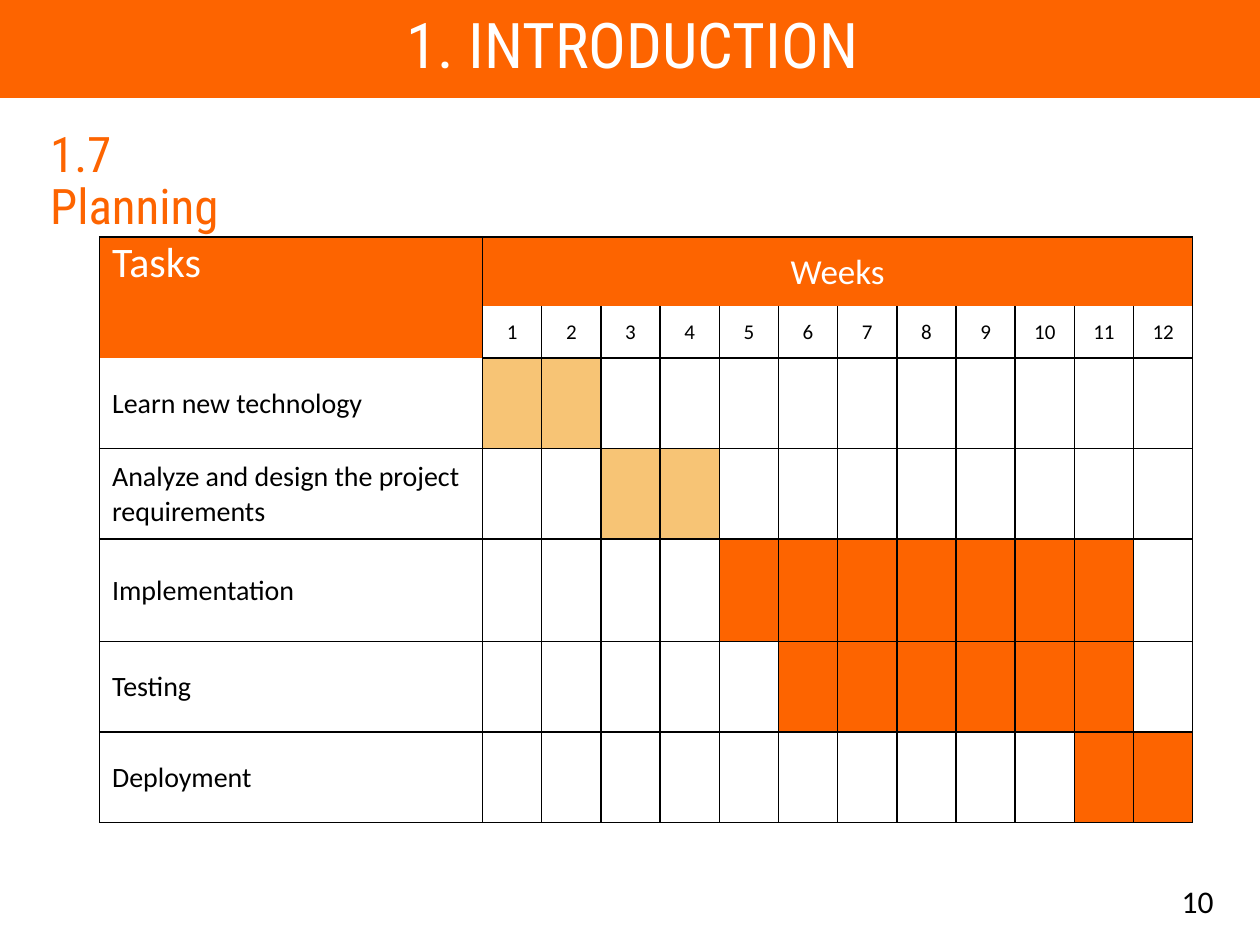
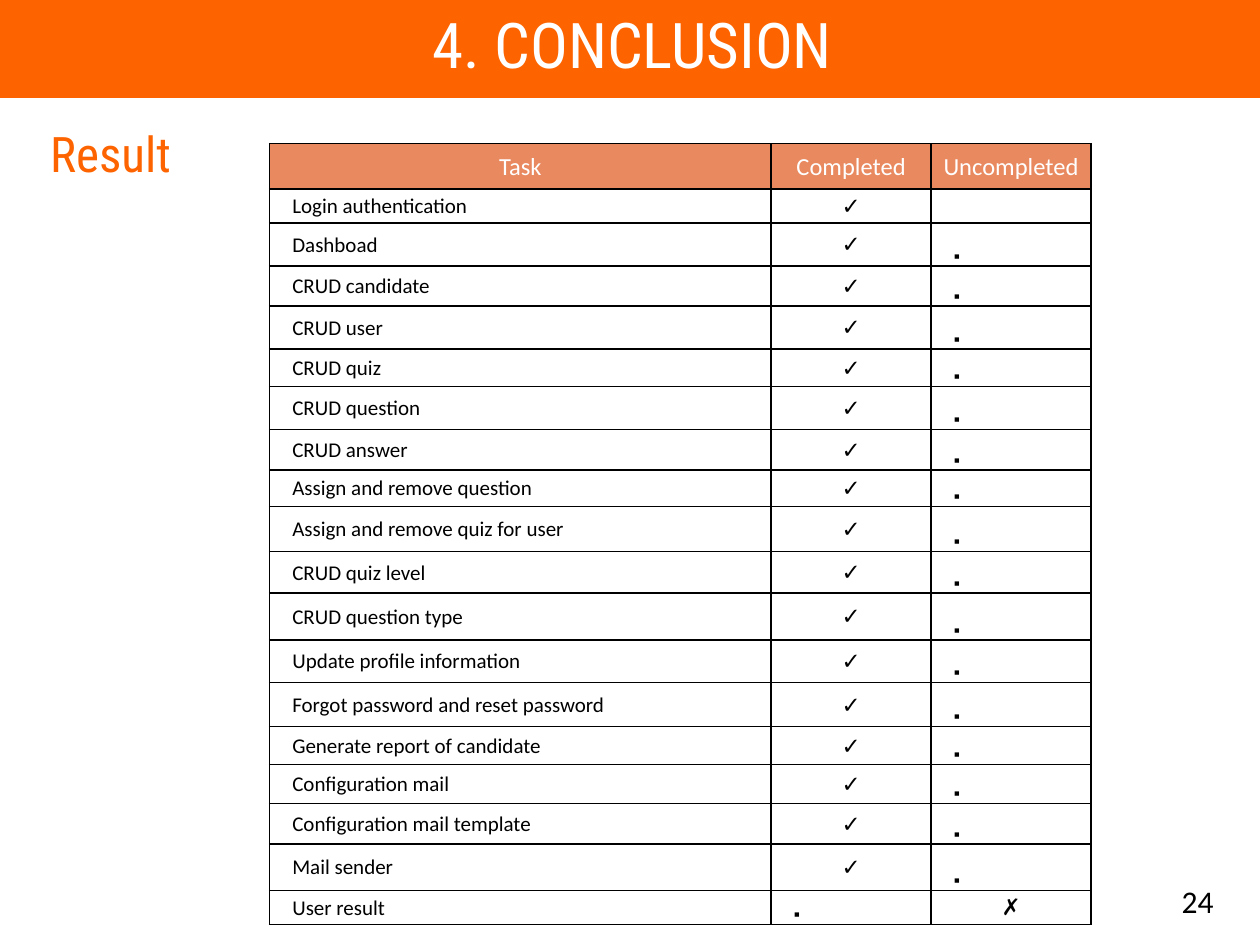
from dataclasses import dataclass
from typing import NamedTuple

from lxml import etree
from pptx import Presentation
from pptx.dml.color import RGBColor
from pptx.enum.shapes import MSO_SHAPE
from pptx.enum.text import MSO_ANCHOR as Anchor, PP_ALIGN as Align
from pptx.oxml.ns import qn
from pptx.util import Inches, Pt

ORANGE = RGBColor(0xFD, 0x64, 0x00)
SAND = RGBColor(0xF7, 0xC4, 0x75)
SALMON = RGBColor(0xE9, 0x89, 0x60)
BLACK = RGBColor(0, 0, 0)
WHITE = RGBColor(0xFF, 0xFF, 0xFF)
HEADING_FONT = "Roboto Condensed"
BODY_FONT = "Calibri"
MARK_FONT = "Arial"
PLAIN_TABLE_STYLE = "{2D5ABB26-0587-4C30-8999-92F81FD0307C}"


class Box(NamedTuple):
    left: float
    top: float
    width: float
    height: float

    def lengths(self) -> list:
        return [Inches(value) for value in self]


@dataclass(frozen=True)
class TextStyle:
    size: float
    color: RGBColor = BLACK
    font: str = BODY_FONT
    align: Align = Align.LEFT
    anchor: Anchor = Anchor.MIDDLE
    indent: float = 0.01  # left margin inside a table cell
    heading: bool = False


@dataclass(frozen=True)
class Task:
    name: str
    height: float
    first_week: int
    last_week: int
    color: RGBColor = ORANGE


class Result(NamedTuple):
    task: str
    height: float
    completed: str = "✓"
    uncompleted: str = "▪"


# Text styles
TITLE = TextStyle(36, WHITE, HEADING_FONT, Align.CENTER, heading=True)
SUBTITLE = TextStyle(28, ORANGE, HEADING_FONT, anchor=Anchor.TOP, heading=True)
PAGE_NUMBER = TextStyle(18, align=Align.RIGHT)
TASKS_HEADER = TextStyle(24, WHITE, anchor=Anchor.TOP, indent=0.1)
WEEKS_HEADER = TextStyle(20, WHITE, align=Align.CENTER)
WEEK = TextStyle(12, align=Align.CENTER)
TASK_NAME = TextStyle(16, indent=0.1)
RESULT_HEADER = TextStyle(14, WHITE, align=Align.CENTER)
RESULT_NAME = TextStyle(12, indent=0.18)
CHECK = TextStyle(13, font=MARK_FONT, align=Align.CENTER)
SQUARE = TextStyle(10, font=MARK_FONT, anchor=Anchor.BOTTOM, indent=0.18)

# Content
WEEK_COUNT = 12
TASKS = [
    Task("Learn new technology", 0.72, 1, 2, SAND),
    Task("Analyze and design the project requirements", 0.72, 3, 4, SAND),
    Task("Implementation", 0.81, 5, 11),
    Task("Testing", 0.72, 6, 11),
    Task("Deployment", 0.72, 11, 12),
]
RESULTS = [
    Result("Login authentication", 0.27, uncompleted=""),
    Result("Dashboad", 0.34),
    Result("CRUD candidate", 0.32),
    Result("CRUD user", 0.34),
    Result("CRUD quiz", 0.3),
    Result("CRUD question", 0.34),
    Result("CRUD answer", 0.32),
    Result("Assign and remove question", 0.29),
    Result("Assign and remove quiz for user", 0.36),
    Result("CRUD quiz level", 0.33),
    Result("CRUD question type", 0.37),
    Result("Update profile information", 0.34),
    Result("Forgot password and reset password", 0.35),
    Result("Generate report of candidate", 0.3),
    Result("Configuration mail", 0.31),
    Result("Configuration mail template", 0.32),
    Result("Mail sender", 0.37),
    Result("User result", 0.27, "▪", "✗"),
]


def write(frame, text: str, style: TextStyle) -> None:
    paragraph = frame.paragraphs[0]
    if text:
        paragraph.add_run().text = text
    paragraph.alignment = style.align
    font = paragraph.font
    font.name, font.size = style.font, Pt(style.size)
    font.color.rgb = style.color
    if style.heading:
        paragraph.line_spacing = 0.9
        paragraph.space_before = Pt(10)


def add_text(slide, box: Box, text: str, style: TextStyle) -> None:
    frame = slide.shapes.add_textbox(*box.lengths()).text_frame
    frame.word_wrap = True
    frame.vertical_anchor = style.anchor
    write(frame, text, style)


def add_page(prs, title: str, subtitle: str, subtitle_width: float, number: int):
    """Add a slide with the parts that every slide shares."""
    slide = prs.slides.add_slide(prs.slide_layouts[6])
    band = slide.shapes.add_shape(
        MSO_SHAPE.RECTANGLE, *Box(0, -0.01, 10, 0.78).lengths())
    band.shadow.inherit = False
    band.fill.solid()
    band.fill.fore_color.rgb = ORANGE
    band.line.color.rgb = ORANGE
    band.line.width = Pt(1)
    add_text(slide, Box(0.3, 0.98, subtitle_width, 0.51), subtitle, SUBTITLE)
    add_text(slide, Box(0.3, 0, 9.44, 0.77), title, TITLE)
    add_text(slide, Box(7.06, 6.95, 2.67, 0.4), str(number), PAGE_NUMBER)
    return slide


def add_grid(slide, left: float, top: float, widths: list, heights: list):
    """Add an unstyled table with the given column widths and row heights."""
    box = Box(left, top, sum(widths), sum(heights))
    frame = slide.shapes.add_table(len(heights), len(widths), *box.lengths())
    table = frame.table
    table.first_row = table.horz_banding = False
    table._tbl.tblPr.find(qn("a:tableStyleId")).text = PLAIN_TABLE_STYLE
    for column, width in zip(table.columns, widths):
        column.width = Inches(width)
    for row, height in zip(table.rows, heights):
        row.height = Inches(height)
    return table


def set_borders(cell, sides: str) -> None:
    properties = cell._tc.get_or_add_tcPr()
    for side in sides:
        line = etree.SubElement(properties, qn(f"a:ln{side}"), w=str(Pt(1)))
        fill = etree.SubElement(line, qn("a:solidFill"))
        etree.SubElement(fill, qn("a:srgbClr"), val=str(BLACK))


def fill_cell(cell, color: RGBColor = WHITE, sides: str = "LRTB") -> None:
    set_borders(cell, sides)
    cell.fill.solid()
    cell.fill.fore_color.rgb = color


def write_cell(cell, text: str, style: TextStyle) -> None:
    cell.margin_left = Inches(style.indent)
    cell.margin_right = cell.margin_top = Inches(0.01)
    cell.margin_bottom = 0
    cell.vertical_anchor = style.anchor
    write(cell.text_frame, text, style)


def add_planning(prs) -> None:
    slide = add_page(prs, "1. INTRODUCTION", "1.7 Planning", 2.02, 10)
    table = add_grid(slide, 0.79, 1.88, [3.04] + [0.47] * WEEK_COUNT,
                     [0.55, 0.41] + [task.height for task in TASKS])

    # Merged headers
    tasks_header, weeks_header = table.cell(0, 0), table.cell(0, 1)
    tasks_header.merge(table.cell(1, 0))
    weeks_header.merge(table.cell(0, WEEK_COUNT))
    for header, text, style in ((tasks_header, "Tasks", TASKS_HEADER),
                                (weeks_header, "Weeks", WEEKS_HEADER)):
        fill_cell(header, ORANGE, "LRT")
        write_cell(header, text, style)

    # Week numbers
    weeks = range(1, WEEK_COUNT + 1)
    for week in weeks:
        fill_cell(table.cell(1, week), sides="LRB")
        write_cell(table.cell(1, week), str(week), WEEK)

    # Task bars
    for row, task in enumerate(TASKS, start=2):
        name_cell = table.cell(row, 0)
        fill_cell(name_cell, sides="LRB" if row == 2 else "LRTB")
        write_cell(name_cell, task.name, TASK_NAME)
        for week in weeks:
            active = task.first_week <= week <= task.last_week
            fill_cell(table.cell(row, week), task.color if active else WHITE)


def add_results(prs) -> None:
    slide = add_page(prs, "4. CONCLUSION", "Result", 3.24, 24)
    table = add_grid(slide, 2.14, 1.14, [3.98, 1.27, 1.27],
                     [0.36] + [result.height for result in RESULTS])
    for column, text in enumerate(("Task", "Completed", "Uncompleted")):
        fill_cell(table.cell(0, column), SALMON)
        write_cell(table.cell(0, column), text, RESULT_HEADER)
    for row, result in enumerate(RESULTS, start=1):
        texts = (result.task, result.completed, result.uncompleted)
        for column, text in enumerate(texts):
            if column == 0:
                style = RESULT_NAME
            else:
                style = CHECK if text in ("✓", "✗") else SQUARE
            fill_cell(table.cell(row, column))
            write_cell(table.cell(row, column), text, style)


def main() -> None:
    prs = Presentation()
    prs.slide_width, prs.slide_height = Inches(10), Inches(7.5)
    add_planning(prs)
    add_results(prs)
    prs.save("out.pptx")


if __name__ == "__main__":
    main()
